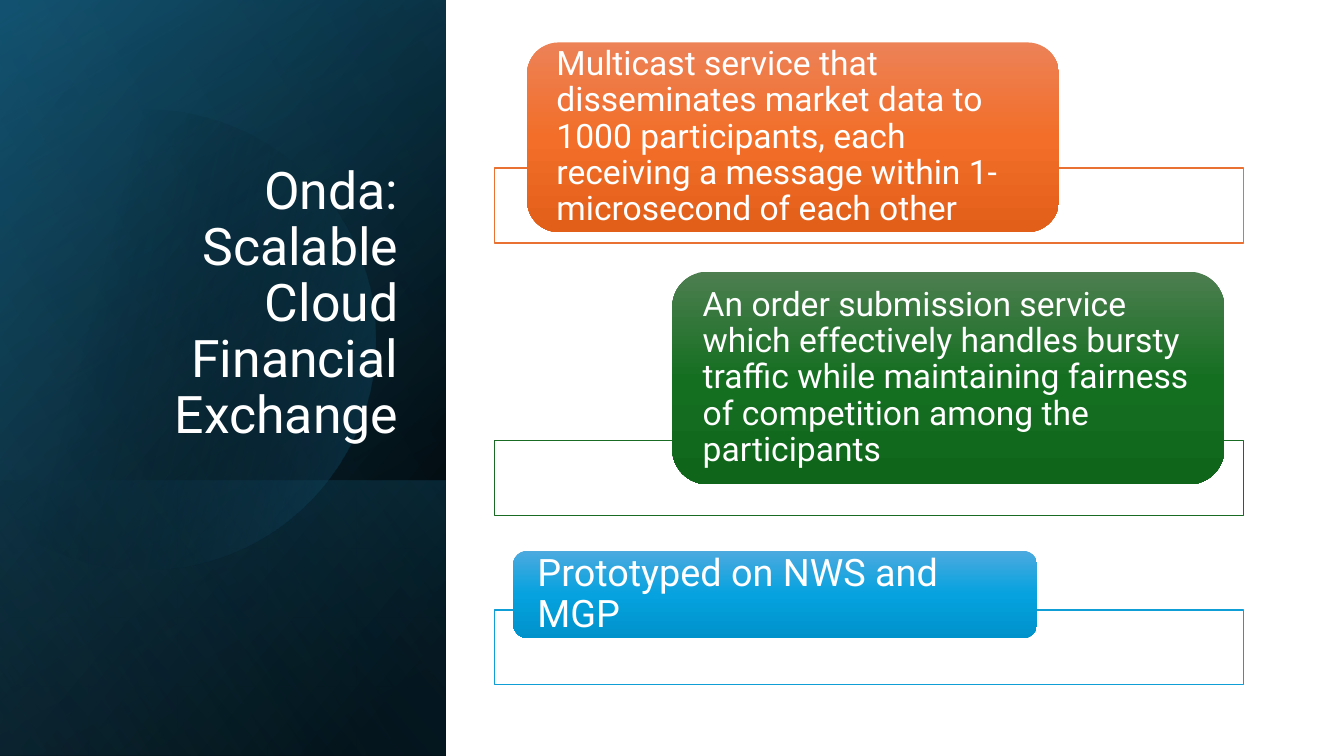
from math import acos, cos, sin

from lxml.etree import SubElement
from pptx import Presentation
from pptx.dml.color import RGBColor
from pptx.enum.shapes import MSO_SHAPE as Shape
from pptx.enum.text import MSO_ANCHOR as Anchor, PP_ALIGN as Align
from pptx.oxml.ns import qn
from pptx.util import Pt

COLORS = {
    "white": "FFFFFF", "black": "000000",
    "navy": "104862", "teal": "156082", "sky": "46B1E1",
    "orange": "E97132", "green": "196B24", "blue": "0F9ED5",
}
CARD_SHADES = {
    "orange": ("ED8257", "F26E29", "E25F1A"),
    "green": ("4D7E50", "156F21", "0F661B"),
    "blue": ("4CAADF", "05A2DF", "0092CB"),
}


class SlideBuilder:
    font_name = "Roboto"
    line_spacing = 0.9

    def __init__(self, slide):
        self.slide = slide

    def box(self, kind, left, top, width, height):
        shape = self.slide.shapes.add_shape(
            kind, Pt(left), Pt(top), Pt(width), Pt(height))
        shape.shadow.inherit = False
        shape.line.fill.background()
        return shape

    def gradient(self, shape, angle, stops):
        """Stops are (position %, hex colour, opacity %); angle runs clockwise."""
        shape.fill.gradient()
        shape.fill.gradient_angle = (360 - angle) % 360
        stop_list = shape._element.spPr.find(qn("a:gradFill")).find(qn("a:gsLst"))
        for old_stop in list(stop_list):
            stop_list.remove(old_stop)
        for position, color, opacity in stops:
            stop = SubElement(stop_list, qn("a:gs"), pos=str(position * 1000))
            value = SubElement(stop, qn("a:srgbClr"), val=color)
            if opacity < 100:
                SubElement(value, qn("a:alpha"), val=str(opacity * 1000))

    def panel(self, top, width, height, angle, stops):
        self.gradient(self.box(Shape.RECTANGLE, 0, top, width, height), angle, stops)

    def cut_disc(self, center_x, center_y, radius, angle, stops):
        """Disc cut off by the left edge of the slide."""
        steps = 120
        limit = acos(-center_x / radius)
        turns = [limit * (2 * step / steps - 1) for step in range(steps + 1)]
        points = [(Pt(center_x + radius * cos(turn)), Pt(center_y + radius * sin(turn)))
                  for turn in turns]
        builder = self.slide.shapes.build_freeform(*points[0])
        builder.add_line_segments(points[1:], close=True)
        disc = builder.convert_to_shape()
        disc.shadow.inherit = False
        disc.line.fill.background()
        self.gradient(disc, angle, stops)

    def set_text(self, text_frame, text, size, align, anchor):
        text_frame.word_wrap = True
        text_frame.vertical_anchor = anchor
        paragraph = text_frame.paragraphs[0]
        paragraph.text = text
        paragraph.alignment = align
        paragraph.line_spacing = self.line_spacing
        paragraph.font.name = self.font_name
        paragraph.font.size = Pt(size)
        paragraph.font.color.rgb = RGBColor.from_string(COLORS["white"])

    def title(self, text, left, top, width, height, size):
        shape = self.slide.shapes.add_textbox(Pt(left), Pt(top), Pt(width), Pt(height))
        self.set_text(shape.text_frame, text, size, Align.RIGHT, Anchor.BOTTOM)

    def frame(self, color, left, top, width, height):
        shape = self.box(Shape.RECTANGLE, left, top, width, height)
        shape.fill.solid()
        shape.fill.fore_color.rgb = RGBColor.from_string(COLORS["white"])
        shape.line.color.rgb = RGBColor.from_string(COLORS[color])
        shape.line.width = Pt(1)

    def card(self, color, left, top, width, height, text, size):
        shape = self.box(Shape.ROUNDED_RECTANGLE, left, top, width, height)
        self.gradient(shape, 90, [(position, shade, 100) for position, shade
                                  in zip((0, 50, 100), CARD_SHADES[color])])
        text_frame = shape.text_frame
        # The side margin grows with the corner radius, which already insets the text
        text_frame.margin_left = text_frame.margin_right = Pt(14.4)
        text_frame.margin_top = text_frame.margin_bottom = 0
        self.set_text(text_frame, text, size, Align.LEFT, Anchor.MIDDLE)


def main():
    presentation = Presentation()
    presentation.slide_width, presentation.slide_height = Pt(960), Pt(540)
    slide = presentation.slides.add_slide(presentation.slide_layouts[6])
    builder = SlideBuilder(slide)

    # Dark side panel: layered gradients and a disc
    black, teal = COLORS["black"], COLORS["teal"]
    width = 318.5
    builder.panel(0, width, 540, 220, [(8, black, 100), (100, COLORS["navy"], 100)])
    builder.panel(0, width, 540, 240, [(0, black, 0), (99, teal, 46)])
    builder.panel(343, width, 197, 140, [(2, teal, 29), (100, black, 30)])
    builder.cut_disc(104, 242.5, 164, 14, [(29, black, 0), (100, teal, 43)])
    builder.panel(0, width, 540, 150, [(0, black, 0), (99, COLORS["sky"], 11)])

    # Title
    builder.title("Onda: Scalable Cloud Financial Exchange", 46, 132.5, 245.5, 188.5, 37)

    # Feature cards, each over an outlined bar
    features = [
        ("orange", 120, (376.5, 30.3, 380, 135.4), 24,
         "Multicast service that disseminates market data to 1000 participants, "
         "each receiving a message within 1-microsecond of each other"),
        ("green", 314.8, (480.2, 194, 394.4, 152), 24,
         "An order submission service which effectively handles bursty traffic "
         "while maintaining fairness of competition among the participants"),
        ("blue", 435.6, (366.5, 393.3, 374.4, 62.6), 27,
         "Prototyped on NWS and MGP"),
    ]
    for color, frame_top, card_place, size, text in features:
        builder.frame(color, 353.3, frame_top, 535, 53.5)
        builder.card(color, *card_place, text, size)

    presentation.save("out.pptx")


if __name__ == "__main__":
    main()
